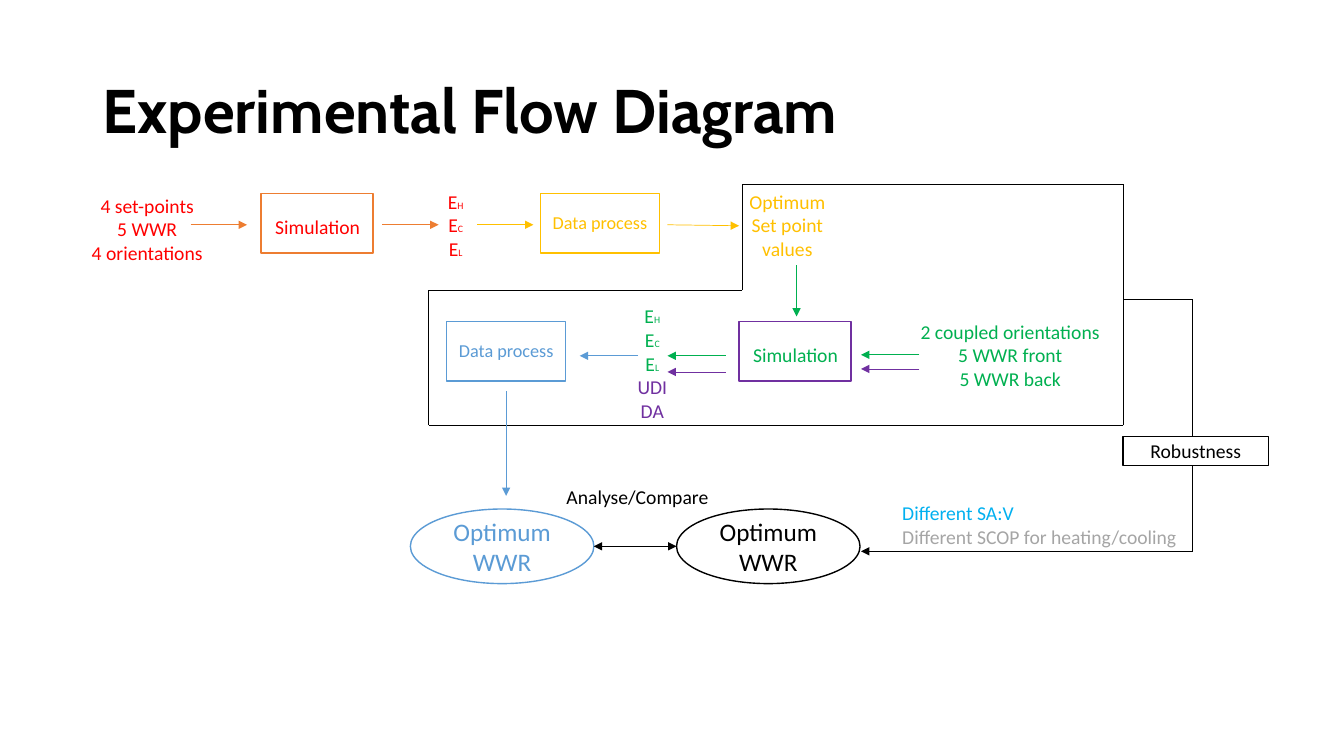
from lxml import etree
from pptx import Presentation
from pptx.dml.color import RGBColor
from pptx.enum.shapes import MSO_CONNECTOR, MSO_SHAPE
from pptx.enum.text import MSO_ANCHOR, MSO_AUTO_SIZE, PP_ALIGN
from pptx.oxml.ns import qn
from pptx.util import Inches, Pt

STRAIGHT = MSO_CONNECTOR.STRAIGHT
RECTANGLE, OVAL = MSO_SHAPE.RECTANGLE, MSO_SHAPE.OVAL
MIDDLE, TOP = MSO_ANCHOR.MIDDLE, MSO_ANCHOR.TOP
LEFT, CENTER = PP_ALIGN.LEFT, PP_ALIGN.CENTER
GROW = MSO_AUTO_SIZE.SHAPE_TO_FIT_TEXT

COLORS = {
    "black": "000000", "white": "FFFFFF", "red": "FF0000", "orange": "ED7D31",
    "yellow": "FFC000", "green": "00B050", "purple": "7030A0",
    "blue": "5B9BD5", "cyan": "00B0F0", "gray": "A5A5A5",
}


def color(name):
    return RGBColor.from_string(COLORS[name])


def lines(names, ink, size=14):
    return [[(name, size, ink)] for name in names]


def energies(ink):
    return [[("E", 14, ink), (kind, 7, ink)] for kind in "HCL"]


class FlowSlide:
    body_font = "Calibri"
    title_font = "Cabin"

    def __init__(self, presentation):
        self.slide = presentation.slides.add_slide(presentation.slide_layouts[6])

    def add_text(self, frame, paragraphs, align, font=body_font, bold=False):
        for index, runs in enumerate(paragraphs):
            paragraph = frame.paragraphs[0] if index == 0 else frame.add_paragraph()
            paragraph.alignment = align
            for text, size, ink in runs:
                run = paragraph.add_run()
                run.text = text
                run.font.name = font
                run.font.size = Pt(size)
                run.font.bold = bold
                run.font.color.rgb = color(ink)

    def title(self, text, box):
        frame = self.slide.shapes.add_textbox(*map(Inches, box)).text_frame
        frame.word_wrap = True
        frame.vertical_anchor = MIDDLE
        self.add_text(frame, lines([text], "black", 44), LEFT, self.title_font, True)
        frame.paragraphs[0].line_spacing = 0.9

    def label(self, box, paragraphs, align=CENTER, wrap=False):
        frame = self.slide.shapes.add_textbox(*map(Inches, box)).text_frame
        frame.word_wrap = wrap
        frame.auto_size = GROW
        frame.vertical_anchor = TOP
        self.add_text(frame, paragraphs, align)

    def node(self, kind, box, outline, paragraphs=()):
        shape = self.slide.shapes.add_shape(kind, *map(Inches, box))
        shape.shadow.inherit = False
        shape.fill.solid()
        shape.fill.fore_color.rgb = color("white")
        shape.line.color.rgb = color(outline)
        shape.line.width = Pt(1)
        shape.text_frame.word_wrap = True
        shape.text_frame.vertical_anchor = MIDDLE
        self.add_text(shape.text_frame, paragraphs, CENTER)

    def simulation(self, left, top, outline, ink):
        self.node(RECTANGLE, (left, top, 1.11, 0.59), outline)
        self.label((left, top + 0.16, 1.12, 0.34), lines(["Simulation"], ink), wrap=True)

    def data_process(self, left, top, ink):
        self.node(RECTANGLE, (left, top, 1.18, 0.59), ink)
        self.label((left, top + 0.13, 1.18, 0.32), lines(["Data process"], ink, 13), wrap=True)

    def optimum(self, left, ink):
        self.node(OVAL, (left, 5.05, 1.82, 0.74), ink, lines(["Optimum WWR"], ink, 18))

    def line(self, start, end, ink, heads=()):
        connector = self.slide.shapes.add_connector(STRAIGHT, *map(Inches, (*start, *end)))
        connector.line.color.rgb = color(ink)
        connector.line.width = Pt(0.5)
        properties = connector.element.spPr
        for head in heads:
            etree.SubElement(properties.find(qn("a:ln")), qn(head), type="triangle")
        etree.SubElement(properties, qn("a:effectLst"))

    def arrow(self, start, end, ink):
        self.line(start, end, ink, ["a:tailEnd"])

    def double_arrow(self, start, end, ink):
        self.line(start, end, ink, ["a:headEnd", "a:tailEnd"])

    def polyline(self, points, ink):
        for start, end in zip(points, points[1:]):
            self.line(start, end, ink)


def build_set_point_row(flow):
    flow.label((0.8, 1.87, 1.32, 0.81), lines(["4 set-points", "5 WWR", "4 orientations"], "red"))
    flow.simulation(2.59, 1.92, "orange", "red")
    flow.label((4.34, 1.83, 0.36, 0.81), energies("red"))
    flow.data_process(5.36, 1.92, "yellow")
    flow.label((7.33, 1.83, 0.96, 0.81), lines(["Optimum", "Set point", "values"], "yellow"))
    for left, ink in ((1.89, "orange"), (3.79, "orange"), (4.73, "yellow")):
        flow.arrow((left, 2.23), (left + 0.56, 2.23), ink)
    flow.arrow((6.62, 2.23), (7.33, 2.24), "yellow")


def build_orientation_row(flow):
    flow.simulation(7.33, 3.19, "purple", "green")
    flow.label((9.02, 3.12, 2, 0.81),
               lines(["2 coupled orientations", "5 WWR front", "5 WWR back"], "green"))
    flow.label((6.22, 2.97, 0.5, 1.28), energies("green") + lines(["UDI", "DA"], "purple"))
    flow.data_process(4.43, 3.19, "blue")
    flow.arrow((7.9, 2.63), (7.9, 3.14), "green")
    for right, top, ink in ((9.12, 3.52, "green"), (9.12, 3.66, "purple"),
                            (7.2, 3.53, "green"), (7.2, 3.69, "purple"),
                            (6.33, 3.53, "blue")):
        flow.arrow((right, top), (right - 0.58, top), ink)


def build_frame(flow):
    flow.polyline([(7.36, 1.83), (7.36, 2.88), (4.25, 2.88), (4.25, 4.22),
                   (11.14, 4.22), (11.14, 1.83), (7.36, 1.83)], "black")
    flow.polyline([(11.14, 2.97), (11.83, 2.97), (11.83, 5.47)], "black")
    flow.arrow((11.83, 5.47), (8.54, 5.47), "black")


def build_comparison(flow):
    flow.optimum(4.07, "blue")
    flow.optimum(6.71, "black")
    flow.label((8.85, 4.92, 2.95, 0.57),
               lines(["Different SA:V"], "cyan")
               + lines(["Different SCOP for heating/cooling"], "gray"), LEFT)
    flow.double_arrow((5.89, 5.42), (6.71, 5.42), "black")
    flow.label((5.52, 4.76, 1.66, 0.34), lines(["Analyse/Compare"], "black"), LEFT)
    flow.arrow((5.02, 3.88), (5.02, 4.92), "blue")
    flow.node(RECTANGLE, (11.14, 4.33, 1.44, 0.29), "black", lines(["Robustness"], "black"))


def main():
    presentation = Presentation()
    presentation.slide_width = Inches(13.33)
    presentation.slide_height = Inches(7.5)
    flow = FlowSlide(presentation)
    flow.title("Experimental Flow Diagram", (0.92, 0.4, 11.5, 1.45))
    build_set_point_row(flow)
    build_orientation_row(flow)
    build_frame(flow)
    build_comparison(flow)
    presentation.save("out.pptx")


if __name__ == "__main__":
    main()
